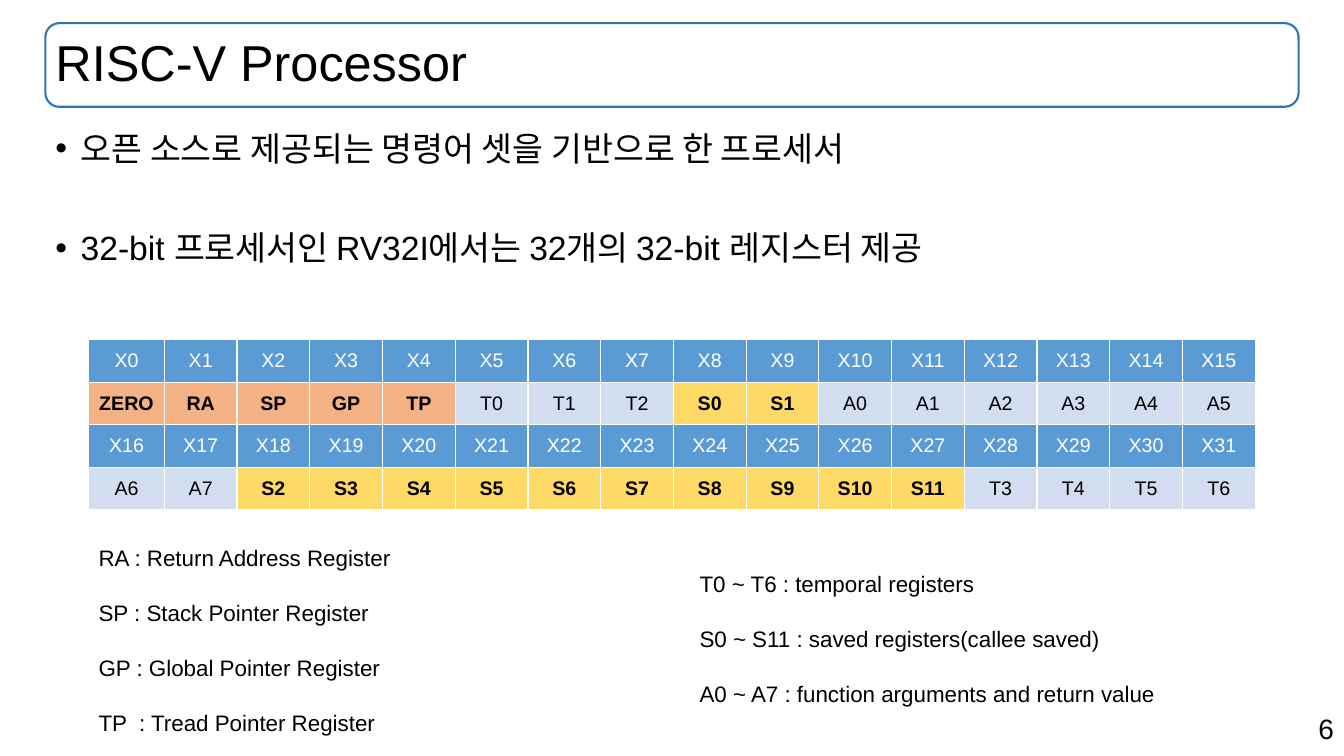
from dataclasses import dataclass

from lxml import etree
from pptx import Presentation
from pptx.dml.color import RGBColor
from pptx.enum.shapes import MSO_SHAPE
from pptx.enum.text import MSO_ANCHOR, MSO_AUTO_SIZE, PP_ALIGN
from pptx.oxml.ns import qn
from pptx.util import Inches, Pt

LEFT, CENTER, RIGHT = PP_ALIGN.LEFT, PP_ALIGN.CENTER, PP_ALIGN.RIGHT
TOP, MIDDLE = MSO_ANCHOR.TOP, MSO_ANCHOR.MIDDLE
NO_FIT = MSO_AUTO_SIZE.NONE
ROUNDED = MSO_SHAPE.ROUNDED_RECTANGLE


@dataclass(frozen=True)
class Theme:
    """Colours, font and type sizes of the slide."""
    font: str = "Arial"
    black: str = "000000"
    white: str = "FFFFFF"
    frame: str = "2E75B6"
    header: str = "5B9BD5"
    plain: str = "D2DEEF"
    special: str = "F4B183"
    saved: str = "FFD966"
    title: int = 36
    bullet: int = 24
    number: int = 20
    note: int = 16
    cell: int = 14


THEME = Theme()
TITLE_AREA = (0.45, 0.23, 12.43, 0.83)
SPECIAL_NAMES = ("ZERO", "RA", "SP", "GP", "TP")
BULLETS = (
    "오픈 소스로 제공되는 명령어 셋을 기반으로 한 프로세서",
    "32-bit 프로세서인 RV32I에서는 32개의 32-bit 레지스터 제공",
)
POINTER_NOTES = (
    "RA : Return Address Register",
    "SP : Stack Pointer Register",
    "GP : Global Pointer Register",
    "TP  : Tread Pointer Register",
)
GROUP_NOTES = (
    "T0 ~ T6 : temporal registers",
    "S0 ~ S11 : saved registers(callee saved)",
    "A0 ~ A7 : function arguments and return value",
)


def numbered(letter, first, last):
    """Return register names from first to last with one letter."""
    return [f"{letter}{index}" for index in range(first, last + 1)]


def place(shape, area):
    """Move and size a shape to an area in inches."""
    shape.left, shape.top, shape.width, shape.height = map(Inches, area)


def add_span(para, text, size, color=THEME.black, bold=False):
    """Add one formatted run to a paragraph."""
    span = para.add_run()
    span.text = text
    span.font.name = THEME.font
    span.font.size = Pt(size)
    span.font.bold = bold
    span.font.color.rgb = RGBColor.from_string(color)


def add_bullet(para):
    """Give a paragraph a hanging round bullet."""
    properties = para._p.get_or_add_pPr()
    properties.set("marL", str(Inches(0.25)))
    properties.set("indent", str(-Inches(0.25)))
    etree.SubElement(properties, qn("a:buFont")).set("typeface", THEME.font)
    etree.SubElement(properties, qn("a:buChar")).set("char", "•")


def fill_frame(frame, lines, size, gap=0, align=LEFT, anchor=TOP,
               spacing=1.0, bulleted=False):
    """Write lines as paragraphs with a gap between them."""
    frame.word_wrap = True
    frame.auto_size = NO_FIT
    frame.vertical_anchor = anchor
    for index, line in enumerate(lines):
        para = frame.add_paragraph() if index else frame.paragraphs[0]
        if bulleted:
            add_bullet(para)
        para.alignment = align
        para.line_spacing = spacing
        para.space_before = Pt(gap if index else 0)
        add_span(para, line, size)


def add_text(page, area, lines, size, **layout):
    """Add a text box."""
    box = page.shapes.add_textbox(*map(Inches, area))
    fill_frame(box.text_frame, lines, size, **layout)


def add_title_frame(page):
    """Add the rounded outline behind the title."""
    outline = page.shapes.add_shape(ROUNDED, *map(Inches, TITLE_AREA))
    outline.shadow.inherit = False
    outline.fill.background()
    outline.line.color.rgb = RGBColor.from_string(THEME.frame)
    outline.line.width = Pt(1.5)
    page.shapes._spTree.insert(2, outline._element)


def add_borders(cell):
    """Draw thin white borders on every side of a cell."""
    properties = cell._tc.get_or_add_tcPr()
    for index, side in enumerate(("lnL", "lnR", "lnT", "lnB")):
        border = etree.Element(qn(f"a:{side}"), w=str(Pt(1)))
        paint = etree.SubElement(border, qn("a:solidFill"))
        etree.SubElement(paint, qn("a:srgbClr")).set("val", THEME.white)
        properties.insert(index, border)


def format_cell(cell, text, fill, color, bold):
    """Write and colour one table cell."""
    cell.fill.solid()
    cell.fill.fore_color.rgb = RGBColor.from_string(fill)
    cell.vertical_anchor = MIDDLE
    cell.margin_left = cell.margin_right = Inches(0.05)
    para = cell.text_frame.paragraphs[0]
    para.alignment = CENTER
    add_span(para, text, THEME.cell, color, bold)
    add_borders(cell)


def name_fill(name):
    """Return the fill for a register name."""
    if name in SPECIAL_NAMES:
        return THEME.special
    return THEME.saved if name.startswith("S") else THEME.plain


def add_registers(page, top, first, names):
    """Add a table of register numbers above their names."""
    area = map(Inches, (0.88, top, 11.57, 0.85))
    table = page.shapes.add_table(2, len(names), *area).table
    for row in table.rows:
        row.height = Inches(0.85 / 2)
    for index, name in enumerate(names):
        width = (11.57 - 0.75) / (len(names) - 1) if index else 0.75
        table.columns[index].width = Inches(width)
        format_cell(table.cell(0, index), f"X{first + index}",
                    THEME.header, THEME.white, False)
        fill = name_fill(name)
        format_cell(table.cell(1, index), name, fill, THEME.black,
                    fill != THEME.plain)


def main():
    """Build the slide and save it."""
    deck = Presentation()
    deck.slide_width, deck.slide_height = Inches(13.33), Inches(7.5)
    page = deck.slides.add_slide(deck.slide_layouts[1])
    title, body = page.placeholders
    add_title_frame(page)
    place(title, TITLE_AREA)
    fill_frame(title.text_frame, ["RISC-V Processor"], THEME.title,
               anchor=MIDDLE, spacing=0.9)
    place(body, (0.45, 1.26, 12.43, 5.53))
    fill_frame(body.text_frame, BULLETS, THEME.bullet, gap=45,
               spacing=0.9, bulleted=True)
    lower = [*SPECIAL_NAMES, *numbered("T", 0, 2), *numbered("S", 0, 1),
             *numbered("A", 0, 5)]
    upper = [*numbered("A", 6, 7), *numbered("S", 2, 11),
             *numbered("T", 3, 6)]
    add_registers(page, 3.37, 0, lower)
    add_registers(page, 4.21, 16, upper)
    add_text(page, (0.88, 5.35, 3.13, 1.99), POINTER_NOTES, THEME.note, gap=20)
    add_text(page, (6.84, 5.61, 4.84, 1.45), GROUP_NOTES, THEME.note, gap=20)
    add_text(page, (9.43, 7.01, 3.9, 0.44), ["6"], THEME.number, align=RIGHT)
    deck.save("out.pptx")


if __name__ == "__main__":
    main()
